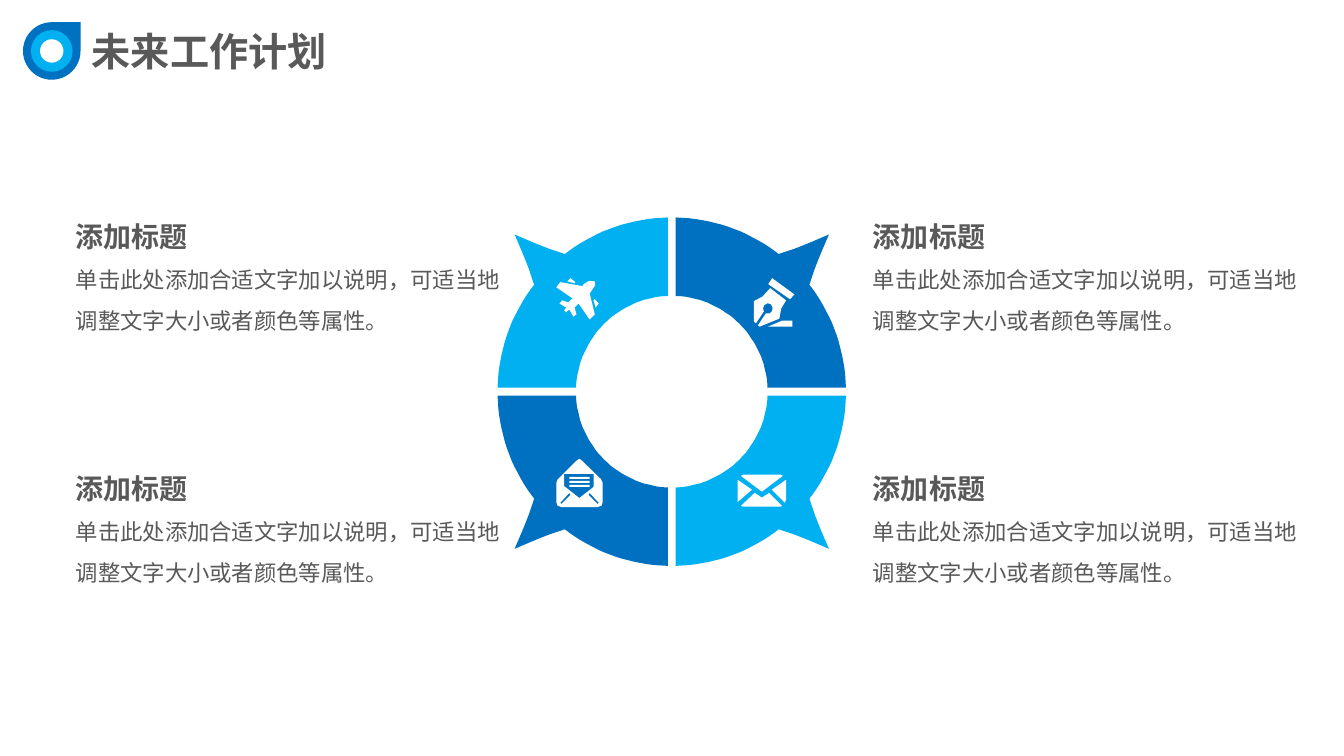
from dataclasses import dataclass
from math import asin, cos, pi, sin

from pptx import Presentation
from pptx.dml.color import RGBColor as Rgb
from pptx.enum.shapes import MSO_SHAPE as Kind
from pptx.enum.text import MSO_ANCHOR as Anchor, MSO_AUTO_SIZE as Fit, PP_ALIGN as Align
from pptx.util import Cm, Pt


@dataclass(frozen=True)
class Theme:
    deep: Rgb = Rgb.from_string("0070C0")
    sky: Rgb = Rgb.from_string("00B0F0")
    white: Rgb = Rgb.from_string("FFFFFF")
    ink: Rgb = Rgb.from_string("595959")
    font: str = "Arial"
    title: int = 28
    head: int = 20
    body: int = 16


THEME = Theme()
NOTE = "单击此处添加合适文字加以说明，可适当地调整文字大小或者颜色等属性。"

# Icon outlines, in hundredths of a centimetre from each icon's corner
PLANE = [
    [(97, 8), (98, 18), (86, 36), (84, 38), (97, 91), (84, 104), (56, 64), (46, 74),
     (51, 91), (43, 97), (33, 79), (25, 86), (20, 81), (25, 74), (8, 64), (15, 56),
     (30, 61), (41, 51), (0, 23), (10, 10), (66, 20), (69, 15), (82, 7)],
    [(107, 64), (97, 53), (94, 56), (99, 74)],
    [(36, 0), (28, 8), (46, 13), (48, 10)],
]
PEN = [
    [(5, 114), (0, 109), (0, 58), (22, 46), (41, 25), (81, 56), (69, 76), (64, 102),
     (15, 122), (10, 119), (30, 89), (40, 89), (46, 83), (47, 74), (43, 66), (35, 63),
     (26, 68), (23, 76), (25, 84)],
    [(36, 122), (97, 122), (97, 107), (71, 107)],
    [(91, 53), (102, 41), (46, 0), (36, 15)],
]
CREASE = [(10, 111), (13, 114), (36, 91), (33, 86)]
LETTER = [
    [(112, 51), (117, 61), (117, 109), (114, 118), (104, 122), (13, 122), (3, 118),
     (0, 109), (0, 61), (3, 53), (51, 5), (58, 0), (65, 5)],
    [(20, 38), (20, 69), (58, 99), (94, 71), (94, 38)],
    *[[(33, y), (84, y), (84, y + 5), (33, y + 5)] for y in (46, 56, 66)],
    CREASE,
    [(117 - x, y) for x, y in CREASE],
]
MAIL = [
    [(15, 0), (107, 0), (114, 3), (61, 43), (8, 3)],
    [(122, 13), (86, 38), (119, 71), (122, 63)],
    [(112, 79), (107, 81), (15, 81), (8, 79), (43, 46), (61, 58), (79, 46)],
    [(0, 69), (36, 38), (0, 13)],
]


def paint(shape, color):
    shape.shadow.inherit = False
    shape.fill.solid()
    shape.fill.fore_color.rgb = color
    shape.line.fill.background()


def trace(slide, loops, x, y, color):
    """Fill closed loops, given in hundredths of a centimetre from (x, y)."""
    pen = slide.shapes.build_freeform(*loops[0][0], scale=Cm(0.01))
    for n, loop in enumerate(loops):
        if n:
            pen.move_to(*loop[0])
        pen.add_line_segments(loop[1:], close=True)
    paint(pen.convert_to_shape(Cm(x), Cm(y)), color)


def style(para, size, bold):
    for run in para.runs:
        run.font.name = THEME.font
        run.font.size = Pt(size)
        run.font.bold = bold
        run.font.color.rgb = THEME.ink


def arc(r, gap, steps=40):
    """Quarter arc that stays a gap away from both axes."""
    edge = asin(gap / r)
    turns = [edge + (pi / 2 - 2 * edge) * n / steps for n in range(steps + 1)]
    return [(r * cos(t), r * sin(t)) for t in turns]


def curve(a, b, c, d, steps=16):
    """Points on a cubic curve."""
    points = []
    for n in range(steps + 1):
        t = n / steps
        parts = ((1 - t) ** 3, 3 * t * (1 - t) ** 2, 3 * t * t * (1 - t), t ** 3)
        points.append(tuple(sum(k * p[i] for k, p in zip(parts, (a, b, c, d)))
                            for i in (0, 1)))
    return points


def header(slide, text, x, y, size):
    # Drop badge
    badge = ((Kind.TEAR, 0, THEME.deep), (Kind.OVAL, 0.2, THEME.sky),
             (Kind.OVAL, 0.43, THEME.white))
    for kind, inset, color in badge:
        side = Cm(size - 2 * inset)
        paint(slide.shapes.add_shape(kind, Cm(x + inset), Cm(y + inset), side, side), color)
    # Title
    title = slide.shapes.title
    title.left, title.top = Cm(x + size + 0.03), Cm(y)
    title.width, title.height = Cm(6.48), Cm(size)
    frame = title.text_frame
    frame.text = text
    frame.word_wrap = False
    frame.auto_size = Fit.NONE
    frame.vertical_anchor = Anchor.TOP
    para = frame.paragraphs[0]
    para.alignment = Align.LEFT
    para.line_spacing = 1.0
    para.space_before = Pt(0)
    style(para, THEME.title, True)


def ring(slide, x, y, size):
    mid, gap = size / 2, 10
    outer = size * 50
    band = arc(outer, gap) + arc(outer * 0.55, gap)[::-1]
    side = curve((396, 396), (347, 288), (301, 140), (291, 25))
    spike = side + [(207, 207)] + [(b, a) for a, b in side[:0:-1]]
    # Sign of x and y, colour, icon and its offset from the centre
    parts = (
        (1, 1, THEME.sky, MAIL, 1.66, 2.09),
        (-1, 1, THEME.deep, LETTER, -2.91, 1.69),
        (-1, -1, THEME.sky, PLANE, -2.91, -2.86),
        (1, -1, THEME.deep, PEN, 2.07, -2.86),
    )
    for sx, sy, color, icon, dx, dy in parts:
        for loop in (band, spike):
            flip = [(sx * a, sy * b) for a, b in loop]
            trace(slide, [flip], x + mid, y + mid, color)
        trace(slide, icon, x + mid + dx, y + mid + dy, THEME.white)


def note(slide, x, y, w, h):
    frame = slide.shapes.add_textbox(Cm(x), Cm(y), Cm(w), Cm(h)).text_frame
    frame.word_wrap = True
    frame.vertical_anchor = Anchor.MIDDLE
    frame.margin_left = frame.margin_right = Cm(0.08)
    frame.margin_top = frame.margin_bottom = Cm(0.08)
    frame.text = "添加标题\n" + NOTE
    looks = ((THEME.head, True), (THEME.body, False))
    for para, (size, bold) in zip(frame.paragraphs, looks):
        para.line_spacing = 1.5
        style(para, size, bold)


def plan(deck):
    slide = deck.slides.add_slide(deck.slide_layouts[5])
    header(slide, "未来工作计划", 0.58, 0.56, 1.45)
    ring(slide, 12.54, 5.48, 8.78)
    for x in (1.83, 21.92):
        for y in (5.08, 11.43):
            note(slide, x, y, 10.97, 3.35)


deck = Presentation()
deck.slide_width, deck.slide_height = Cm(33.87), Cm(19.05)
plan(deck)
deck.save("out.pptx")
